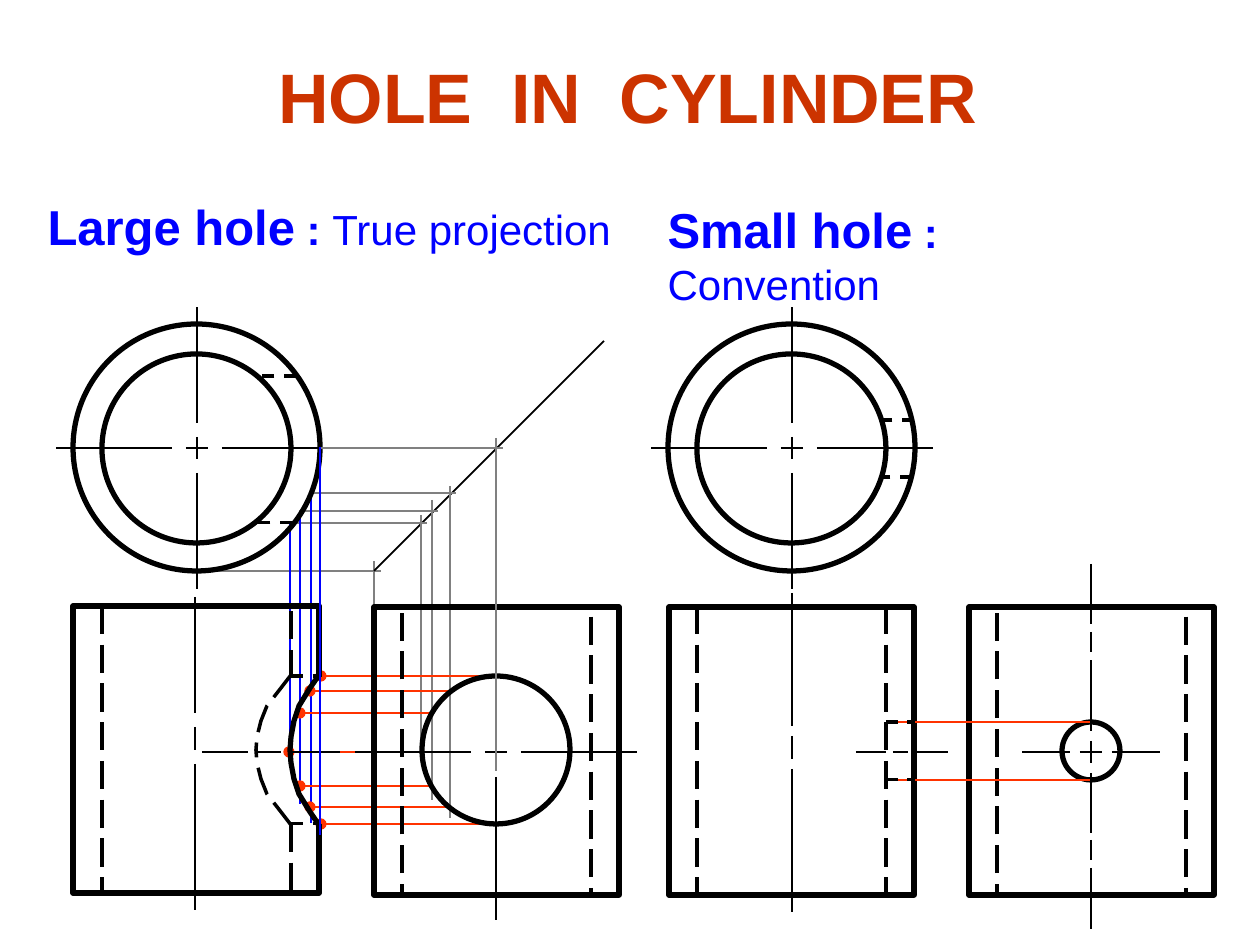
from dataclasses import dataclass
from lxml.etree import SubElement
from pptx import Presentation
from pptx.dml.color import RGBColor
from pptx.enum.dml import MSO_LINE
from pptx.enum.shapes import MSO_CONNECTOR, MSO_SHAPE
from pptx.enum.text import MSO_ANCHOR, MSO_AUTO_SIZE, PP_ALIGN
from pptx.oxml.ns import qn
from pptx.util import Pt

PX = 914400 // 126


@dataclass
class Theme:
    """Colours, type sizes and pens (colour, points, dash) of the drawing."""
    font = "Arial"
    rust = RGBColor(0xCC, 0x33, 0x00)
    blue = RGBColor(0, 0, 0xFF)
    red = RGBColor(0xFF, 0x33, 0x00)
    black = RGBColor(0, 0, 0)
    title, head, note = Pt(40), Pt(28), Pt(24)
    edge = (black, 3, None)
    axis = (black, 1.5, None)
    hidden = (black, 2, MSO_LINE.LONG_DASH)
    bore = (black, 1.75, MSO_LINE.DASH)
    mitre = (black, 1, None)
    guide = (RGBColor(0x80, 0x80, 0x80), 1, None)
    drop = (blue, 1, None)
    ray = (red, 1, None)
    thin = (red, 0.75, None)


def ink(shape, pen):
    """Give a shape or connector its pen, with no fill and no shadow."""
    shape.line.color.rgb, width, dash = pen
    shape.line.width = Pt(width)
    if dash:
        shape.line.dash_style = dash
    if hasattr(shape, "fill"):
        shape.fill.background()
        shape.shadow.inherit = False
    else:
        SubElement(shape.element.spPr, qn("a:effectLst"))
    return shape


def seg(pen, *ends):
    ink(shapes.add_connector(MSO_CONNECTOR.STRAIGHT, *(v * PX for v in ends)), pen)


deck = Presentation()
deck.slide_width, deck.slide_height = 9144000, 6858000
slide = deck.slides.add_slide(deck.slide_layouts[3])
shapes = slide.shapes
title, left, right = slide.placeholders

# Title and headings
for box, place, parts in [
    (title, (37, 30, 1182, 131), [("HOLE  IN  CYLINDER", Theme.title, True, Theme.rust)]),
    (left, (35, 190, 590, 72), [("Large hole", Theme.head, True, Theme.blue),
                                (" : ", Theme.note, True, Theme.blue),
                                ("True projection", Theme.note, False, Theme.blue)]),
    (right, (655, 193, 519, 72), [("Small hole", Theme.head, True, Theme.blue),
                                  (" : ", Theme.note, True, Theme.blue),
                                  ("Convention", Theme.note, False, Theme.blue)]),
]:
    box.left, box.top, box.width, box.height = (v * PX for v in place)
    frame = box.text_frame
    frame.auto_size = MSO_AUTO_SIZE.NONE
    frame.word_wrap = box is title
    frame.vertical_anchor = MSO_ANCHOR.MIDDLE if box is title else MSO_ANCHOR.TOP
    para = frame.paragraphs[0]
    para.alignment = PP_ALIGN.CENTER if box is title else PP_ALIGN.LEFT
    para.space_before = Pt(0)
    if box is not title:
        props = para._p.get_or_add_pPr()
        props.set("marL", "0")
        props.set("indent", "0")
        SubElement(props, qn("a:buNone"))
    for words, size, bold, color in parts:
        run = para.add_run()
        run.text = words
        run.font.name, run.font.size, run.font.bold = Theme.font, size, bold
        run.font.color.rgb = color

# Mitre line and projections from plan to side view
MID = 752
seg(Theme.guide, 194, 571, 381, 571)
seg(Theme.guide, 374, 606, 374, 561)
seg(Theme.mitre, 374, 571, 604, 341)
for x, y, turn, top, foot, base in [
    (290, 523, 421, 515, 764, 752),
    (300, 511, 432, 500, 804, 800),
    (311, 493, 450, 486, 823, 818),
]:
    seg(Theme.drop, x, y, x, foot)
    seg(Theme.guide, x - 1, y, turn + 6, y)
    seg(Theme.guide, turn, top, turn, base)
for x, turn, levels in [(289, 422, [MID]), (300, 432, [713, 786]),
                        (310, 450, [691, 807]), (321, 496, [676, 824])]:
    for y in levels:
        seg(Theme.ray, turn, y, x - 3, y)
        dot = ink(shapes.add_shape(MSO_SHAPE.OVAL, (x - 5) * PX, (y - 5) * PX,
                                   10 * PX, 10 * PX), Theme.thin)
        dot.fill.solid()
        dot.fill.fore_color.rgb = Theme.red

# Curves of intersection, mirrored about the hole's centre
HOLE = 750
for pen, curve in [
    (Theme.hidden, [(291, 75), (281, 62), (267, 44), (261, 29), (257, 13), (256, 0)]),
    (Theme.edge, [(319, 75), (310, 62), (299, 44), (294, 29), (291, 13), (290, 0)]),
]:
    for side in (-1, 1):
        points = [(x, HOLE + side * rise) for x, rise in curve]
        path = shapes.build_freeform(*points[0], scale=PX)
        path.add_line_segments(points[1:], close=False)
        ink(path.convert_to_shape(), pen)

# Outlines of the views
front = shapes.build_freeform(319, 824, scale=PX)
front.add_line_segments([(319, 893), (73, 893), (73, 606), (319, 606), (319, 677)], close=False)
ink(front.convert_to_shape(), Theme.edge)
OVAL, RECT = MSO_SHAPE.OVAL, MSO_SHAPE.RECTANGLE
for kind, pen, *place in [
    (OVAL, Theme.edge, 73, 324, 247, 247),
    (OVAL, Theme.edge, 102, 354, 189, 189),
    (OVAL, Theme.edge, 668, 324, 247, 247),
    (OVAL, Theme.edge, 697, 354, 189, 189),
    (RECT, Theme.edge, 374, 607, 245, 288),
    (RECT, Theme.hidden, 402, 607, 189, 288),
    (OVAL, Theme.edge, 422, 676, 148, 148),
    (RECT, Theme.edge, 669, 607, 245, 288),
    (RECT, Theme.edge, 969, 607, 245, 288),
    (RECT, Theme.hidden, 997, 607, 189, 288),
    (OVAL, Theme.edge, 1062, 722, 58, 58),
]:
    ink(shapes.add_shape(kind, *(v * PX for v in place)), pen)

# Hidden edges
for x, top, foot in [(102, 606, 894), (291, 678, 605), (291, 824, 894),
                     (697, 606, 894), (886, 606, 894)]:
    seg(Theme.hidden, x, top, x, foot)
for start, end, y in [(291, 319, 676), (291, 319, 824), (296, 256, 376), (292, 254, 523),
                      (914, 876, 420), (912, 880, 477)]:
    seg(Theme.bore, start, y, end, y)
for y in (722, 780):
    seg(Theme.thin, 1091, y, 886, y)
    seg(Theme.bore, 886, y, 915, y)

# Centre marks: a small cross, then four arms beyond a gap
for x, y, gap, wide, up, down in [
    (197, 448, 25, 141, 141, 141),
    (792, 448, 25, 141, 141, 141),
    (496, MID, 25, 141, 171, 168),
    (1091, MID, 21, 69, 92, 81),
]:
    seg(Theme.axis, x - 11, y, x + 11, y)
    seg(Theme.axis, x, y - 11, x, y + 11)
    for side, tall in [(-1, up), (1, down)]:
        seg(Theme.axis, x + side * gap, y, x + side * wide, y)
        seg(Theme.axis, x, y + side * gap, x, y + side * tall)

# Other axis strokes
for x, strokes in [
    (195, [(597, 713), (727, 750), (764, 910)]),
    (792, [(593, 726), (736, 759), (769, 912)]),
    (1091, [(564, 624), (632, 652), (840, 860), (868, 929)]),
]:
    for top, foot in strokes:
        seg(Theme.axis, x, top, x, foot)
for start, end in [(202, 248), (258, 281), (291, 340), (856, 886), (893, 908), (915, 948)]:
    seg(Theme.axis, start, MID, end, MID)

# Projection of the outermost point, over the outlines
seg(Theme.drop, 320, 447, 320, 835)
seg(Theme.guide, 321, 448, 503, 448)
seg(Theme.guide, 496, 438, 496, 771)

deck.save("out.pptx")
